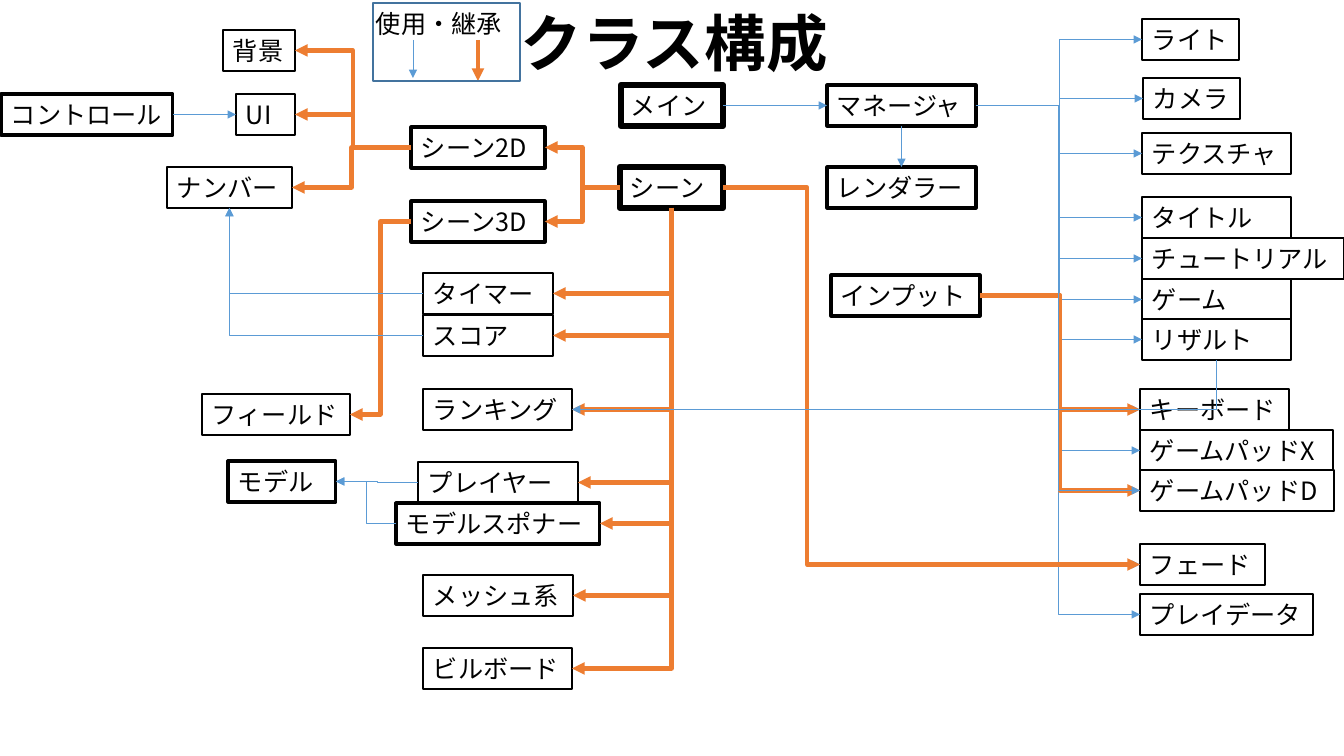
from dataclasses import dataclass

from pptx import Presentation
from pptx.dml.color import RGBColor
from pptx.enum.shapes import MSO_CONNECTOR, MSO_SHAPE
from pptx.enum.text import MSO_ANCHOR, PP_ALIGN
from pptx.oxml.ns import qn
from pptx.util import Pt
from lxml.etree import SubElement


@dataclass(frozen=True)
class Theme:
    font: str = "Noto Sans CJK JP"
    title_size: int = 44
    label_size: int = 18
    ink: RGBColor = RGBColor(0x00, 0x00, 0x00)
    paper: RGBColor = RGBColor(0xFF, 0xFF, 0xFF)
    legend_edge: RGBColor = RGBColor(0x43, 0x73, 0x9E)
    use: tuple = (RGBColor(0x5B, 0x9B, 0xD5), 0.5)
    inherit: tuple = (RGBColor(0xED, 0x7D, 0x31), 3)


theme = Theme()
PX = 12192000 / 1344
BOX_HEIGHT = 41
TOP, LEFT, BOTTOM, RIGHT = range(4)
THIN, MEDIUM, THICK = 1, 2.25, 4.5

prs = Presentation()
prs.slide_width, prs.slide_height = round(1344 * PX), round(756 * PX)
slide = prs.slides.add_slide(prs.slide_layouts[6])


def write(shape, text, size=theme.label_size, bold=False, anchor=MSO_ANCHOR.MIDDLE):
    frame = shape.text_frame
    frame.word_wrap = True
    frame.vertical_anchor = anchor
    frame.margin_right = 0
    paragraph = frame.paragraphs[0]
    paragraph.alignment = PP_ALIGN.LEFT
    run = paragraph.add_run()
    run.text = text
    run.font.name, run.font.size, run.font.bold = theme.font, Pt(size), bold
    run.font.color.rgb = theme.ink
    SubElement(run.font._element, qn("a:ea"), typeface=theme.font)
    return paragraph


def arrow(kind, style, start=(0, 0), end=(0, 0)):
    line = slide.shapes.add_connector(kind, *(round(v * PX) for v in (*start, *end)))
    line.line.color.rgb, line.line.width = style[0], Pt(style[1])
    SubElement(line.line._get_or_add_ln(), qn("a:tailEnd"), type="triangle")
    SubElement(line._element.spPr, qn("a:effectLst"))
    return line


# Title
title = slide.shapes.add_textbox(*(round(v * PX) for v in (508, 2, 333, 83)))
heading = write(title, "クラス構成", theme.title_size, True, MSO_ANCHOR.BOTTOM)
title.text_frame.margin_left = 0
heading.alignment, heading.line_spacing = PP_ALIGN.CENTER, 0.9

# Class boxes: name, left, top, width, border
classes = [
    ("メイン", 621, 85, 102, THICK),
    ("マネージャ", 827, 85, 149, MEDIUM),
    ("レンダラー", 827, 167, 149, MEDIUM),
    ("キーボード", 1140, 389, 149, THIN),
    ("ゲームパッドX", 1140, 430, 193, THIN),
    ("ゲームパッドD", 1140, 470, 194, THIN),
    ("ライト", 1142, 19, 97, THIN),
    ("カメラ", 1143, 78, 97, THIN),
    ("テクスチャ", 1142, 133, 149, THIN),
    ("タイトル", 1142, 197, 149, THIN),
    ("チュートリアル", 1142, 238, 202, THIN),
    ("ゲーム", 1142, 279, 149, THIN),
    ("リザルト", 1142, 319, 149, THIN),
    ("フェード", 1140, 544, 125, THIN),
    ("プレイデータ", 1140, 594, 173, THIN),
    ("インプット", 831, 275, 149, MEDIUM),
    ("シーン", 620, 167, 103, THICK),
    ("シーン2D", 411, 127, 134, MEDIUM),
    ("シーン3D", 411, 201, 134, MEDIUM),
    ("背景", 223, 30, 72, THIN),
    ("UI", 236, 94, 59, THIN),
    ("コントロール", 1, 94, 172, MEDIUM),
    ("ナンバー", 167, 167, 125, THIN),
    ("タイマー", 423, 273, 130, THIN),
    ("スコア", 423, 315, 130, THIN),
    ("ランキング", 423, 389, 149, THIN),
    ("フィールド", 202, 394, 148, THIN),
    ("モデル", 228, 461, 108, MEDIUM),
    ("プレイヤー", 418, 462, 160, THIN),
    ("モデルスポナー", 396, 503, 204, MEDIUM),
    ("メッシュ系", 423, 575, 150, THIN),
    ("ビルボード", 423, 648, 149, THIN),
]
boxes = {}
for name, left, top, width, border in classes:
    box = slide.shapes.add_shape(
        MSO_SHAPE.RECTANGLE, *(round(v * PX) for v in (left, top, width, BOX_HEIGHT)))
    box.shadow.inherit = False
    box.fill.solid()
    box.fill.fore_color.rgb = theme.paper
    box.line.color.rgb, box.line.width = theme.ink, Pt(border)
    write(box, name)
    boxes[name] = box

# Relations: route, style, source, its side, targets, their side
STRAIGHT, ELBOW = MSO_CONNECTOR.STRAIGHT, MSO_CONNECTOR.ELBOW
CORNER = "bentConnector2"
relations = [
    (STRAIGHT, theme.use, "メイン", RIGHT, ["マネージャ"], LEFT),
    (STRAIGHT, theme.use, "マネージャ", BOTTOM, ["レンダラー"], TOP),
    (STRAIGHT, theme.use, "コントロール", RIGHT, ["UI"], LEFT),
    (ELBOW, theme.use, "マネージャ", RIGHT,
     ["キーボード", "ゲームパッドX", "ライト", "カメラ", "テクスチャ", "フェード", "プレイデータ",
      "タイトル", "チュートリアル", "ゲーム", "リザルト"], LEFT),
    (ELBOW, theme.inherit, "シーン", LEFT, ["シーン2D", "シーン3D"], RIGHT),
    (ELBOW, theme.inherit, "シーン2D", LEFT, ["背景", "UI", "ナンバー"], RIGHT),
    (ELBOW, theme.inherit, "シーン3D", LEFT, ["フィールド"], RIGHT),
    (ELBOW, theme.inherit, "シーン", RIGHT, ["フェード"], LEFT),
    (ELBOW, theme.inherit, "インプット", RIGHT, ["キーボード", "ゲームパッドD"], LEFT),
    (ELBOW, theme.use, "マネージャ", RIGHT, ["ゲームパッドD"], LEFT),
    (CORNER, theme.inherit, "シーン", BOTTOM,
     ["タイマー", "スコア", "ランキング", "プレイヤー", "モデルスポナー", "メッシュ系", "ビルボード"], RIGHT),
    (CORNER, theme.use, "タイマー", LEFT, ["ナンバー"], BOTTOM),
    (CORNER, theme.use, "スコア", LEFT, ["ナンバー"], BOTTOM),
    (ELBOW, theme.use, "プレイヤー", LEFT, ["モデル"], RIGHT),
    (ELBOW, theme.use, "モデルスポナー", LEFT, ["モデル"], RIGHT),
    (CORNER, theme.use, "リザルト", BOTTOM, ["ランキング"], RIGHT),
]
for route, style, source, exit_side, targets, entry_side in relations:
    for target in targets:
        link = arrow(ELBOW if route == CORNER else route, style)
        link.begin_connect(boxes[source], exit_side)
        link.end_connect(boxes[target], entry_side)
        geometry = link._element.spPr.find(qn("a:prstGeom"))
        if route == CORNER:
            geometry.set("prst", CORNER)
            if exit_side == BOTTOM:
                # Going down and then left is the corner turned by 90 degrees
                center_x = (link.begin_x + link.end_x) // 2
                center_y = (link.begin_y + link.end_y) // 2
                across, down = link.height, link.width
                xfrm = link._element.spPr.find(qn("a:xfrm"))
                xfrm.attrib.clear()
                xfrm.set("rot", "5400000")
                link.width, link.height = across, down
                link.left, link.top = center_x - across // 2, center_y - down // 2
        elif (source, target) == ("シーン", "フェード"):
            adjustments = geometry.find(qn("a:avLst"))
            SubElement(adjustments, qn("a:gd"), name="adj1", fmla="val 20200")

# Legend
arrow(STRAIGHT, theme.use, (413, 40), (413, 78))
arrow(STRAIGHT, theme.inherit, (478, 40), (478, 81))
legend = slide.shapes.add_textbox(*(round(v * PX) for v in (366, 3, 153, BOX_HEIGHT)))
write(legend, "使用・継承")
legend_frame = slide.shapes.add_shape(
    MSO_SHAPE.RECTANGLE, *(round(v * PX) for v in (373, 3, 147, 78)))
legend_frame.shadow.inherit = False
legend_frame.fill.background()
legend_frame.line.color.rgb, legend_frame.line.width = theme.legend_edge, Pt(THIN)

prs.save("out.pptx")
